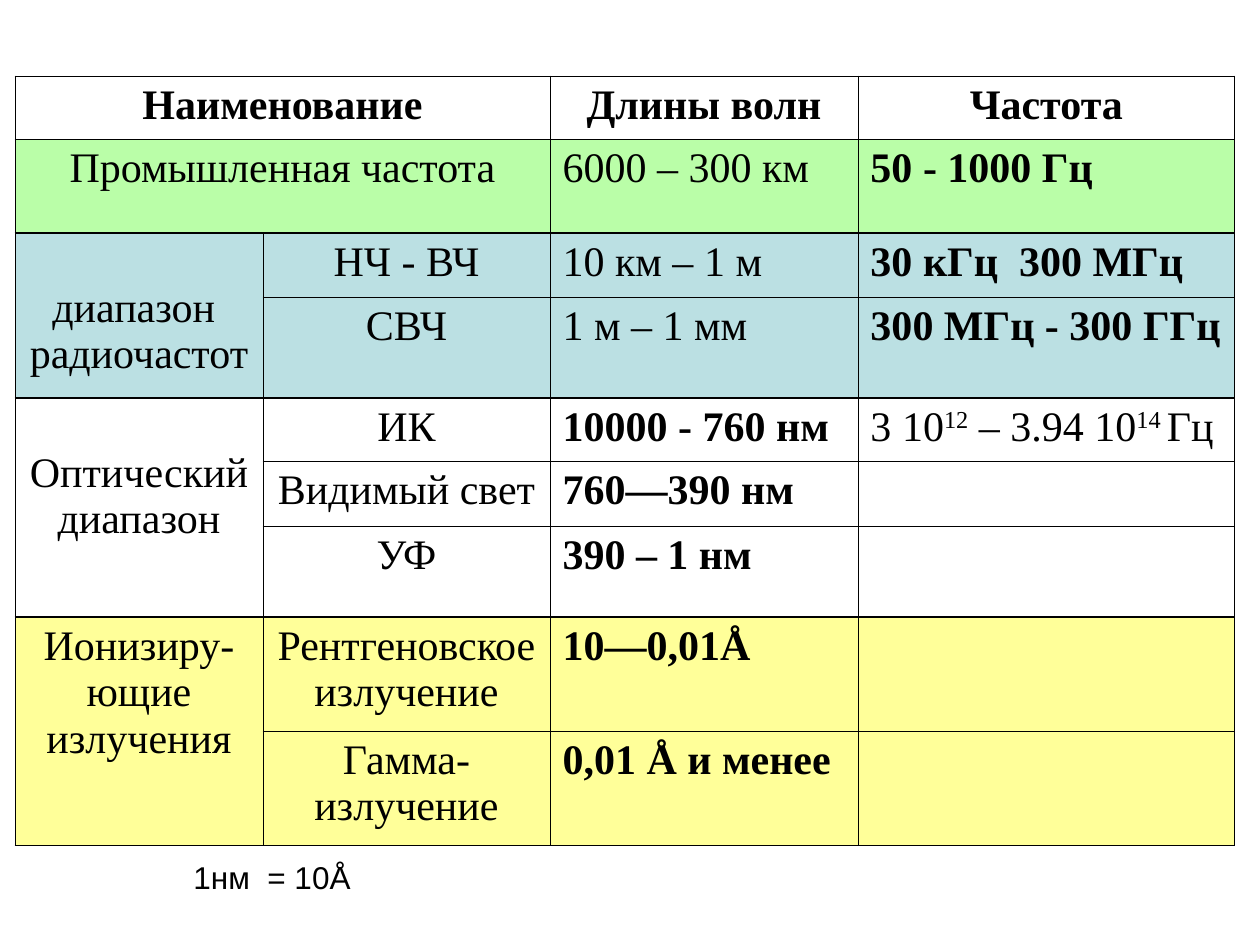
import pptx
import pptx.util
import pptx.dml.color
import pptx.enum.text
import pptx.oxml
import pptx.oxml.ns

WHITE, GREEN, BLUE, YELLOW = "FFFFFF", "BAFEA8", "BBE0E3", "FFFF99"
COLS = [248, 287, 308, 377]
# height, fill, cells; "*" starts bold text, "^" switches superscript
ROWS = [
    (63, None, ["*Наименование", "", "*Длины волн", "*Частота"]),
    (94, GREEN, ["Промышленная частота", "", "6000 – 300 км", "*50 - 1000 Гц"]),
    (64, BLUE, ["диапазон  радиочастот", "НЧ - ВЧ", "10 км – 1 м ",
                "*30 кГц  300 МГц"]),
    (101, BLUE, ["", "СВЧ", "1 м – 1 мм", "*300 МГц - 300 ГГц"]),
    (63, WHITE, ["Оптический диапазон", "ИК", "*10000 - 760 нм ",
                 "3 10^12^ – 3.94 10^14 ^Гц"]),
    (65, WHITE, ["", "Видимый свет", "*760—390 нм", ""]),
    (91, WHITE, ["", "УФ", "*390 – 1 нм", ""]),
    (114, YELLOW, ["Ионизиру-ющие излучения", "Рентгеновское излучение",
                   "*10—0,01Å", ""]),
    (114, YELLOW, ["", "Гамма-излучение", "*0,01 Å и менее", ""]),
]
MERGES = [(0, 0, 0, 1), (1, 0, 1, 1), (2, 0, 3, 0), (4, 0, 6, 0), (7, 0, 8, 0)]
LOWERED = [(2, 0), (4, 0)]  # cells whose text starts one line down
HEAVY = {2, 4, 7}  # rows with a thicker rule above
ALIGN = pptx.enum.text.PP_ALIGN


def px(n):
    return pptx.util.Emu(round(n * 914400 / 126))


def color(code):
    return pptx.dml.color.RGBColor.from_string(code)


def style(para, size, name, bold=False):
    font = para.font
    font.size, font.name, font.bold = pptx.util.Pt(size), name, bold
    font.color.rgb = color("000000")


def border(cell, top, bottom):
    props = cell._tc.get_or_add_tcPr()
    widths = {"lnL": 0.45, "lnR": 0.45, "lnT": top, "lnB": bottom}
    for spot, (tag, width) in enumerate(widths.items()):
        line = pptx.oxml.parse_xml(
            f'<a:{tag} {pptx.oxml.ns.nsdecls("a")} w="{round(width * 12700)}">'
            '<a:solidFill><a:srgbClr val="000000"/></a:solidFill>'
            f'</a:{tag}>')
        props.insert(spot, line)


def write(cell, text, centre):
    para = cell.text_frame.paragraphs[0]
    para.alignment = ALIGN.CENTER if centre else ALIGN.JUSTIFY
    style(para, 24, "Times New Roman", text.startswith("*"))
    for i, part in enumerate(text.lstrip("*").split("^")):
        run = para.add_run()
        run.text = part
        if i % 2:
            run._r.get_or_add_rPr().set("baseline", "30000")


def add_table(slide):
    heights = [row[0] for row in ROWS]
    table = slide.shapes.add_table(
        len(ROWS), len(COLS), px(15), px(76), px(sum(COLS)), px(sum(heights))).table
    table.first_row = table.horz_banding = False
    for col, width in zip(table.columns, COLS):
        col.width = px(width)
    for r, (height, fill, texts) in enumerate(ROWS):
        table.rows[r].height = px(height)
        for c, text in enumerate(texts):
            cell = table.cell(r, c)
            cell.margin_left = cell.margin_right = px(12.6)
            cell.margin_top = px(52 if (r, c) in LOWERED else 6)
            cell.margin_bottom = px(6)
            if fill:
                cell.fill.solid()
                cell.fill.fore_color.rgb = color(fill)
            else:
                cell.fill.background()
            border(cell, *(0.96 if n in HEAVY else 0.45 for n in (r, r + 1)))
            if text:
                write(cell, text, r == 0 or c < 2)
    for top, left, bottom, right in MERGES:
        table.cell(top, left).merge(table.cell(bottom, right))


def add_note(slide):
    frame = slide.shapes.add_textbox(px(181), px(852), px(183), px(50)).text_frame
    frame.word_wrap = False
    frame.auto_size = pptx.enum.text.MSO_AUTO_SIZE.SHAPE_TO_FIT_TEXT
    frame.text = "1нм  = 10Å"
    style(frame.paragraphs[0], 18, "Arial")


def main():
    deck = pptx.Presentation()
    deck.slide_width, deck.slide_height = px(1260), px(945)
    slide = deck.slides.add_slide(deck.slide_layouts[6])
    add_table(slide)
    add_note(slide)
    deck.save("out.pptx")


if __name__ == "__main__":
    main()
